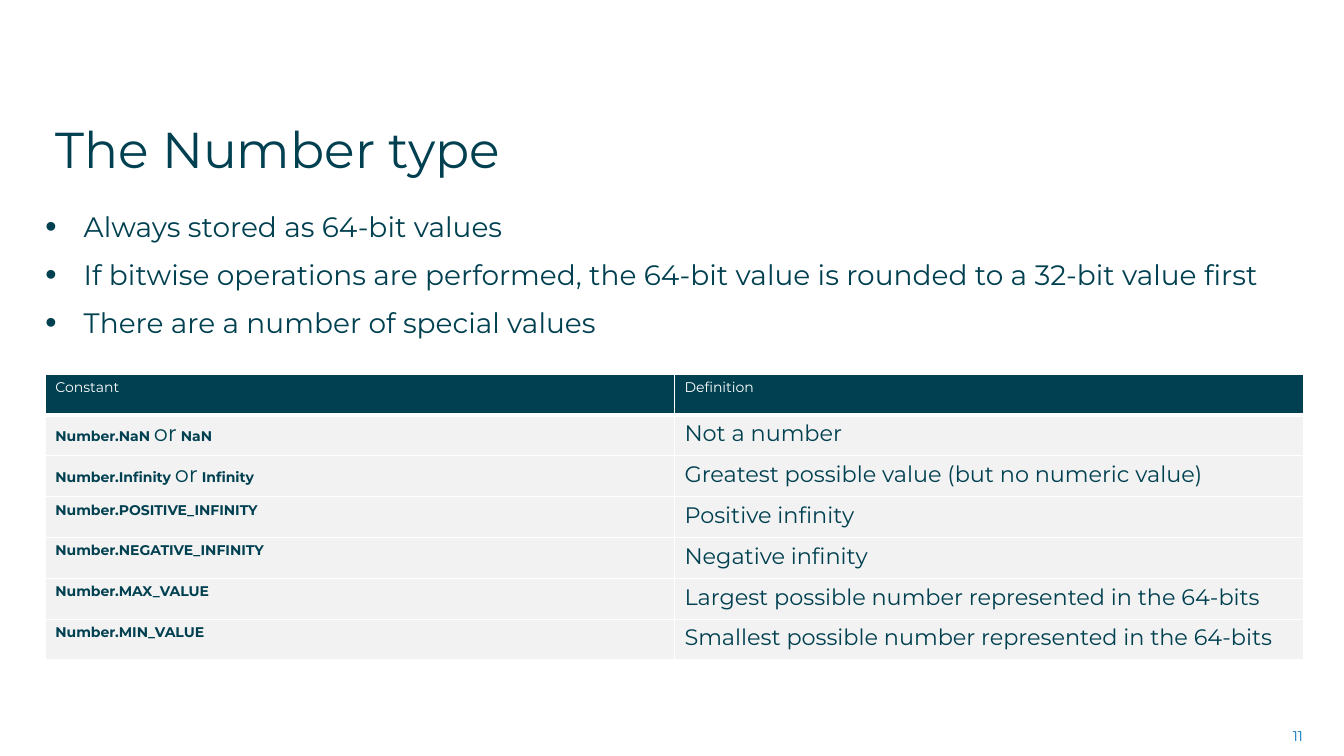
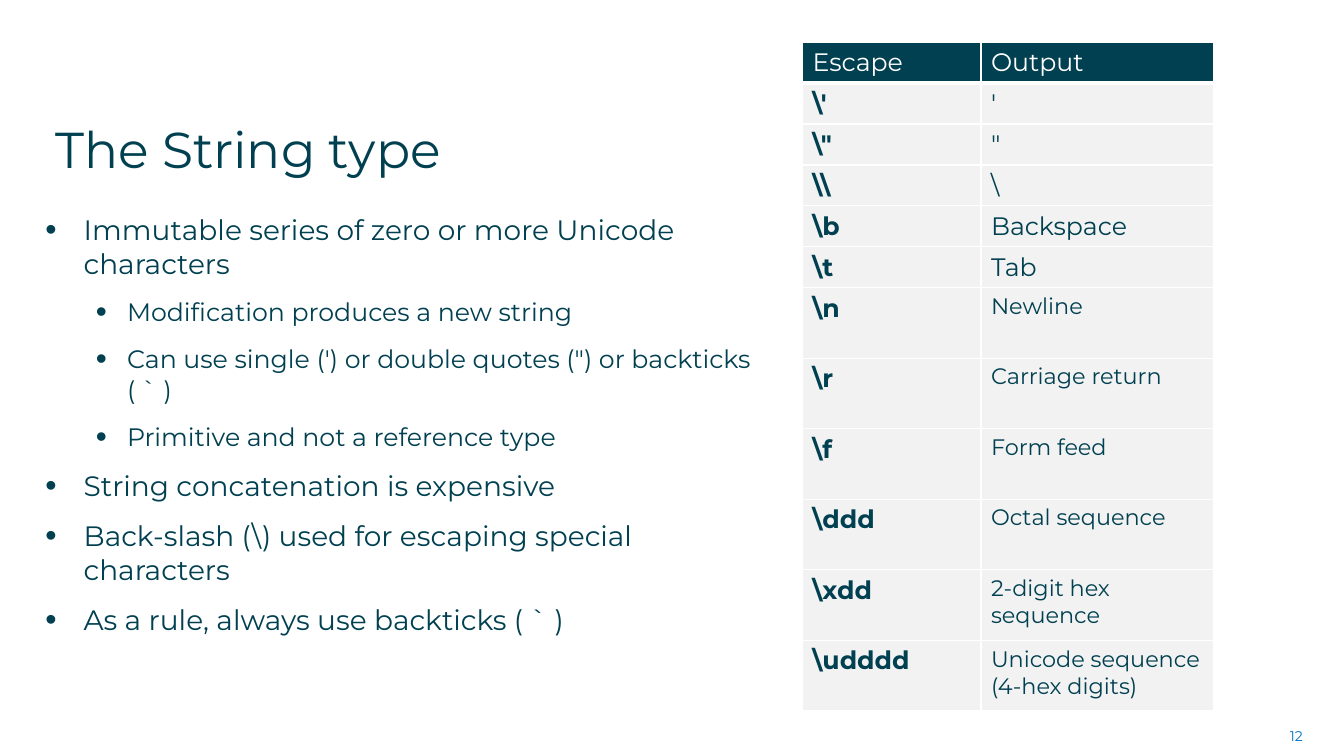
from pptx import Presentation
from pptx import util as u
from pptx.dml.color import RGBColor
from pptx.enum import text
from pptx.oxml.ns import qn
from lxml import etree

TEAL = RGBColor(0x00, 0x40, 0x50)
BLUE = RGBColor(0x00, 0x70, 0xC0)
PALE = RGBColor(0xF2, 0xF2, 0xF2)
WHITE = RGBColor(0xFF, 0xFF, 0xFF)
FONT = "Montserrat"
LEFT = 0.45
SHORT_ROW = 2.84 / 7
TALL_ROW = 0.7
BULLETS = {0: (20, 0.38, 0.38, 115), 1: (18, 0.81, 0.31, 125)}


def child(parent, tag, **attributes):
    return etree.SubElement(parent, qn(tag), attributes)


class Slides:
    """Hold the shared style and the slide being built."""

    def __init__(self):
        self.deck = Presentation()
        self.deck.slide_width = u.Inches(13.33)
        self.deck.slide_height = u.Inches(7.5)
        self.page = None

    def style(self, span, size, color=TEAL, bold=False):
        span.font.name = FONT
        span.font.size = u.Pt(size)
        span.font.color.rgb = color
        span.font.bold = bold

    def place(self, box, left, top, width, height):
        box.left, box.top = u.Inches(left), u.Inches(top)
        box.width, box.height = u.Inches(width), u.Inches(height)

    def start(self, title, number):
        self.page = self.deck.slides.add_slide(self.deck.slide_layouts[1])
        box = self.page.shapes.title
        self.place(box, LEFT, 0.86, 10.35, 0.96)
        frame = box.text_frame
        frame.text = title
        frame.auto_size = text.MSO_AUTO_SIZE.NONE
        frame.vertical_anchor = text.MSO_ANCHOR.BOTTOM
        para = frame.paragraphs[0]
        para.alignment = text.PP_ALIGN.LEFT
        para.line_spacing = u.Pt(42)
        self.style(para.runs[0], 36)
        self.number(number)

    def number(self, number):
        box = self.page.shapes.add_textbox(
            u.Inches(9.91), u.Inches(7.1), u.Inches(3.11), u.Inches(0.4))
        frame = box.text_frame
        frame.word_wrap = True
        frame.text = str(number)
        frame.vertical_anchor = text.MSO_ANCHOR.MIDDLE
        para = frame.paragraphs[0]
        para.alignment = text.PP_ALIGN.RIGHT
        self.style(para.runs[0], 10, BLUE)

    def bullets(self, items, width, line_spacing):
        box = self.page.placeholders[1]
        self.place(box, LEFT, 2.11, width, 4.97)
        frame = box.text_frame
        frame.text = "\n".join(words for level, words in items)
        frame.auto_size = text.MSO_AUTO_SIZE.NONE
        frame.margin_left = frame.margin_right = 0
        frame.margin_top = frame.margin_bottom = 0
        for para, (level, words) in zip(frame.paragraphs, items):
            size, margin, hang, percent = BULLETS[level]
            para.level = level
            para.line_spacing = line_spacing
            para.space_before = para.space_after = u.Pt(6)
            self.style(para.runs[0], size)
            properties = para._p.get_or_add_pPr()
            properties.set("marL", str(u.Inches(margin)))
            properties.set("indent", str(-u.Inches(hang)))
            child(child(properties, "a:buClr"), "a:srgbClr", val=str(TEAL))
            child(properties, "a:buSzPct", val=str(percent * 1000))
            child(properties, "a:buFont", typeface="Arial")
            child(properties, "a:buChar", char="•")

    def cell(self, cell, spans, fill, color=TEAL, borders=()):
        para = cell.text_frame.paragraphs[0]
        for words, size, bold in spans:
            span = para.add_run()
            span.text = words
            self.style(span, size, color, bold)
        properties = cell._tc.get_or_add_tcPr()
        for side, points in borders:
            line = child(properties, side, w=str(u.Pt(points)))
            child(child(line, "a:solidFill"), "a:srgbClr", val=str(WHITE))
        cell.fill.solid()
        cell.fill.fore_color.rgb = fill

    def table(self, left, top, widths, heights, header, header_size, rows):
        frame = self.page.shapes.add_table(
            len(heights), len(widths), u.Inches(left), u.Inches(top),
            u.Inches(sum(widths)), u.Inches(sum(heights)))
        grid = frame.table
        for column, width in zip(grid.columns, widths):
            column.width = u.Inches(width)
        for row, height in zip(grid.rows, heights):
            row.height = u.Inches(height)
        sides = [("a:lnL", 1), ("a:lnR", 1)]
        for index, words in enumerate(header):
            self.cell(grid.cell(0, index), [(words, header_size, False)], TEAL,
                      WHITE, sides + [("a:lnT", 1), ("a:lnB", 3)])
        for number, row in enumerate(rows, 1):
            for index, spans in enumerate(row):
                self.cell(grid.cell(number, index), spans, PALE,
                          borders=sides + [("a:lnB", 1)])


def code_spans(code):
    first, joint, second = code.partition(" or ")
    if not joint:
        return [(code, 10, True)]
    return [(first + " ", 10, True), ("or", 16, False), (" " + second, 10, True)]


def number_slide(slides):
    slides.start("The Number type", 11)
    slides.bullets([
        (0, "Always stored as 64-bit values"),
        (0, "If bitwise operations are performed, the 64-bit value is rounded "
            "to a 32-bit value first"),
        (0, "There are a number of special values"),
    ], 12.47, u.Pt(22))
    constants = [
        ("Number.NaN or NaN", "Not a number"),
        ("Number.Infinity or Infinity",
         "Greatest possible value (but no numeric value)"),
        ("Number.POSITIVE_INFINITY", "Positive infinity"),
        ("Number.NEGATIVE_INFINITY", "Negative infinity"),
        ("Number.MAX_VALUE", "Largest possible number represented in the 64-bits"),
        ("Number.MIN_VALUE", "Smallest possible number represented in the 64-bits"),
    ]
    rows = [(code_spans(code), [(meaning, 16, False)])
            for code, meaning in constants]
    slides.table(LEFT, 3.71, [6.24] * 2, [SHORT_ROW] * 7,
                 ("Constant", "Definition"), 10, rows)


def string_slide(slides):
    slides.start("The String type", 12)
    slides.bullets([
        (0, "Immutable series of zero or more Unicode characters"),
        (1, "Modification produces a new string"),
        (1, "Can use single (') or double quotes (\") or backticks ( ` )"),
        (1, "Primitive and not a reference type"),
        (0, "String concatenation is expensive"),
        (0, "Back-slash (\\) used for escaping special characters"),
        (0, "As a rule, always use backticks ( ` )"),
    ], 7.09, 1.0)
    escapes = [
        ("\\'", "'", 18),
        ("\\\"", "\"", 18),
        ("\\\\", "\\", 18),
        ("\\b", "Backspace", 18),
        ("\\t", "Tab", 18),
        ("\\n", "Newline", 16),
        ("\\r", "Carriage return", 16),
        ("\\f", "Form feed", 16),
        ("\\ddd", "Octal sequence", 16),
        ("\\xdd", "2-digit hex sequence", 16),
        ("\\udddd", "Unicode sequence (4-hex digits)", 16),
    ]
    rows = [([(code, 18, True)], [(output, size, False)])
            for code, output, size in escapes]
    slides.table(7.96, 0.42, [1.77, 2.31], [SHORT_ROW] * 6 + [TALL_ROW] * 6,
                 ("Escape", "Output"), 18, rows)


def main():
    slides = Slides()
    number_slide(slides)
    string_slide(slides)
    slides.deck.save("out.pptx")


if __name__ == "__main__":
    main()
